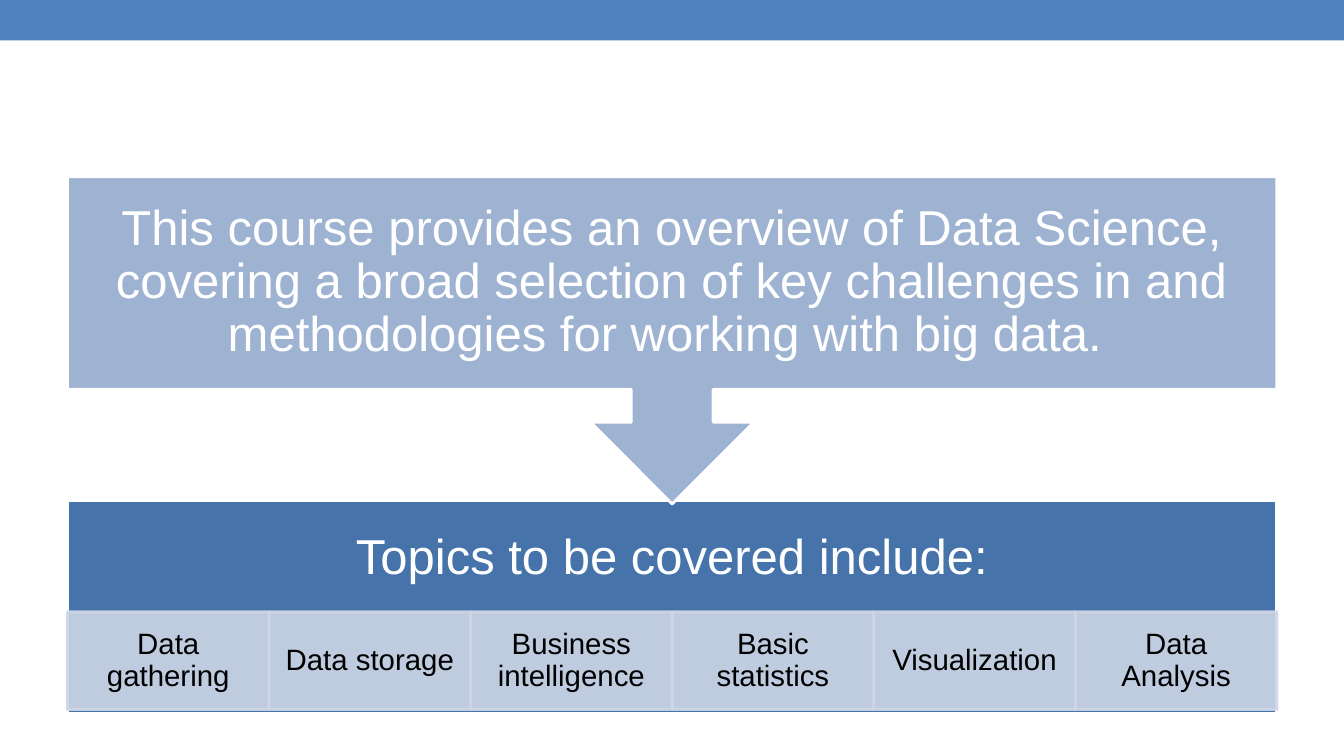
from pptx import Presentation
from pptx.dml.color import RGBColor
from pptx.enum.shapes import MSO_SHAPE as Shape
from pptx.enum.text import MSO_ANCHOR as Anchor, PP_ALIGN as Align
from pptx.oxml.ns import qn
from pptx.util import Cm, Pt
from lxml.etree import SubElement

COLOURS = {
    "band": "4F81BD",
    "topics": "4674AA",
    "overview": "9EB2D2",
    "tile": "CFD7E7",
    "white": "FFFFFF",
    "black": "000000",
}
TOPICS = ["Data gathering", "Data storage", "Business intelligence",
          "Basic statistics", "Visualization", "Data Analysis"]
OVERVIEW = ("This course provides an overview of Data Science, covering a broad "
            "selection of key challenges in and methodologies for working with big data. ")
LEFT, WIDTH = 1.7, 30.48
TILE_WIDTH = WIDTH / len(TOPICS)


def write(box, text, size=35, colour="white", inset=(0.68, 0.68)):
    """Fill a box with one centred paragraph."""
    frame = box.text_frame
    frame.word_wrap = True
    frame.vertical_anchor = Anchor.MIDDLE
    frame.margin_left = frame.margin_right = Cm(inset[0])
    frame.margin_top = frame.margin_bottom = Cm(inset[1])
    para = frame.paragraphs[0]
    para.alignment = Align.CENTER
    para.line_spacing = 0.9
    span = para.add_run()
    span.text = text
    span.font.name = "Arial"
    span.font.size = Pt(size)
    span.font.color.rgb = RGBColor.from_string(COLOURS[colour])


class CoursePage:
    """Hold the style and the current slide."""

    def __init__(self, deck):
        """Add a blank slide to the deck."""
        self.page = deck.slides.add_slide(deck.slide_layouts[6])

    def block(self, left, top, width, height, fill, line=None, kind=Shape.RECTANGLE, alpha=None):
        """Draw a filled shape with an optional outline and opacity in percent."""
        shape = self.page.shapes.add_shape(kind, Cm(left), Cm(top), Cm(width), Cm(height))
        shape.shadow.inherit = False
        shape.fill.solid()
        shape.fill.fore_color.rgb = RGBColor.from_string(COLOURS[fill])
        if line:
            shape.line.color.rgb = RGBColor.from_string(COLOURS[line])
            shape.line.width = Pt(2.08)
        else:
            shape.line.fill.background()
        if alpha:
            for colour in shape._element.spPr.iter(qn("a:srgbClr")):
                SubElement(colour, qn("a:alpha")).set("val", str(alpha * 1000))
        return shape

    def label(self, text, left, top, width, height):
        """Add a large white heading."""
        write(self.page.shapes.add_textbox(Cm(left), Cm(top), Cm(width), Cm(height)), text)

    def tile(self, text, left, top, width, height):
        """Add a translucent topic tile."""
        shape = self.block(left, top, width, height, "tile", line="tile", alpha=89)
        write(shape, text, size=21, colour="black", inset=(0.4, 0.07))

    def callout(self, left, top, width, height):
        """Add a box whose arrow points down."""
        shape = self.block(left, top, width, height, "overview", line="white",
                           kind=Shape.UP_ARROW_CALLOUT)
        shape.rotation = 180
        for index, value in enumerate((0.25, 0.25, 0.25, 0.65)):
            shape.adjustments[index] = value


def main():
    """Build and save the deck."""
    deck = Presentation()
    deck.slide_width, deck.slide_height = Cm(33.87), Cm(19.05)
    goals = CoursePage(deck)
    goals.block(0, 0, 33.87, 1.02, "band")
    goals.block(LEFT, 12.62, WIDTH, 5.36, "topics", line="white")
    goals.label("Topics to be covered include:", LEFT, 12.62, WIDTH, 2.9)
    for index, topic in enumerate(TOPICS):
        goals.tile(topic, LEFT + index * TILE_WIDTH, 15.42, TILE_WIDTH, 2.46)
    goals.callout(LEFT, 4.45, WIDTH, 8.25)
    goals.label(OVERVIEW, LEFT, 4.45, WIDTH, 5.36)
    deck.save("out.pptx")


if __name__ == "__main__":
    main()
